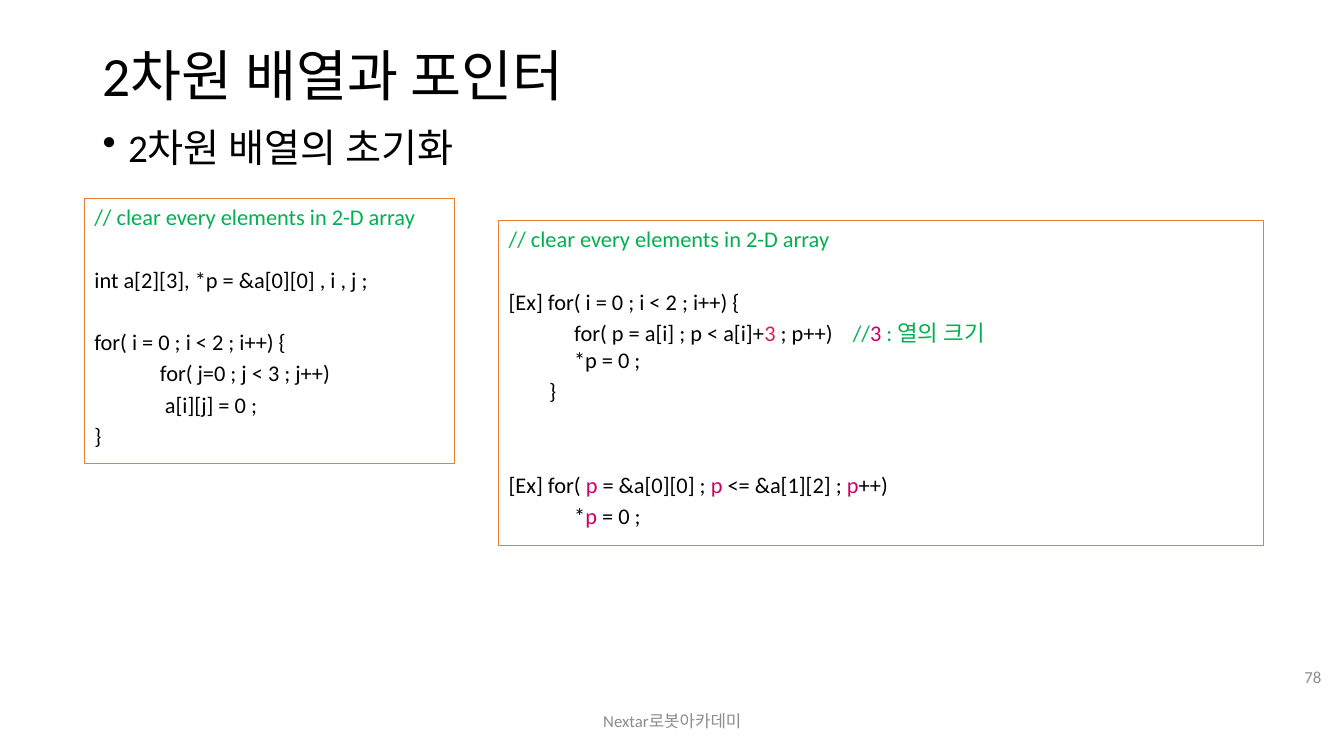
from dataclasses import dataclass

from lxml import etree
from pptx import Presentation
from pptx.dml.color import RGBColor
from pptx.enum.shapes import MSO_SHAPE
from pptx.enum.text import MSO_ANCHOR, PP_ALIGN
from pptx.oxml.ns import qn
from pptx.util import Cm, Pt

RECTANGLE = MSO_SHAPE.RECTANGLE
TOP, MIDDLE = MSO_ANCHOR.TOP, MSO_ANCHOR.MIDDLE
LEFT, CENTER, RIGHT = PP_ALIGN.LEFT, PP_ALIGN.CENTER, PP_ALIGN.RIGHT


@dataclass(frozen=True)
class Theme:
    font: str = "Calibri"
    ink: RGBColor = RGBColor(0x00, 0x00, 0x00)
    muted: RGBColor = RGBColor(0x8C, 0x8C, 0x8C)
    comment: RGBColor = RGBColor(0x00, 0xB0, 0x50)
    pointer: RGBColor = RGBColor(0xCC, 0x00, 0x66)
    size: RGBColor = RGBColor(0xDA, 0x1C, 0x5C)
    frame: RGBColor = RGBColor(0xED, 0x7D, 0x31)
    title_size: float = 39.6
    body_size: float = 28
    code_size: float = 16
    footer_size: float = 12
    code_gap: float = 3
    code_pitch: float = 22.5


class SlideBuilder:
    def __init__(self, page, theme):
        self.page = page
        self.theme = theme

    def style(self, para, size, color):
        para.font.name = self.theme.font
        para.font.size = Pt(size)
        para.font.color.rgb = color

    def text(self, wording, area, size, color, align=LEFT, anchor=TOP):
        box = self.page.shapes.add_textbox(*map(Cm, area))
        frame = box.text_frame
        frame.word_wrap = True
        frame.vertical_anchor = anchor
        para = frame.paragraphs[0]
        para.text = wording
        para.alignment = align
        self.style(para, size, color)
        return para

    def heading(self, wording, area):
        para = self.text(wording, area, self.theme.title_size, self.theme.ink, anchor=MIDDLE)
        para.line_spacing = 0.9

    def bullet(self, wording, area):
        para = self.text(wording, area, self.theme.body_size, self.theme.ink)
        para.line_spacing = 0.9
        properties = para._p.get_or_add_pPr()
        properties.set("marL", str(Cm(0.64)))
        properties.set("indent", str(-Cm(0.64)))
        mark = etree.Element(qn("a:buChar"), char="•")
        properties.find(qn("a:lnSpc")).addnext(mark)

    def code(self, lines, area):
        """Each line is (empty lines above, spans); a span of None breaks the line."""
        theme = self.theme
        box = self.page.shapes.add_shape(RECTANGLE, *map(Cm, area))
        box.shadow.inherit = False
        box.fill.background()
        box.line.color.rgb = theme.frame
        box.line.width = Pt(0.5)
        frame = box.text_frame
        frame.word_wrap = True
        frame.vertical_anchor = TOP
        for index, (empty_lines, spans) in enumerate(lines):
            para = frame.add_paragraph() if index else frame.paragraphs[0]
            para.alignment = LEFT
            if index:
                para.space_before = Pt(theme.code_gap + empty_lines * theme.code_pitch)
            self.style(para, theme.code_size, spans[0][1])
            for item in spans:
                if item is None:
                    para.add_line_break()
                    continue
                span = para.add_run()
                span.text, color = item
                if color != spans[0][1] or len(spans) > 1:
                    span.font.color.rgb = color


def main():
    theme = Theme()
    ink, comment, pointer = theme.ink, theme.comment, theme.pointer
    deck = Presentation()
    deck.slide_width, deck.slide_height = Cm(33.87), Cm(19.05)
    builder = SlideBuilder(deck.slides.add_slide(deck.slide_layouts[6]), theme)

    # Title and topic
    builder.heading("2차원 배열과 포인터", (2.34, 1.02, 29.21, 1.9))
    builder.bullet("2차원 배열의 초기화", (2.34, 3.12, 29.21, 14.05))

    # Footer and page number
    builder.text("Nextar로봇아카데미", (11.23, 17.65, 11.43, 1.02),
                 theme.footer_size, theme.muted, CENTER, MIDDLE)
    builder.text("78", (31.98, 16.54, 1.57, 1.02),
                 theme.footer_size, theme.muted, RIGHT, MIDDLE)

    # Clearing by index
    clear_note = (0, [("// clear every elements in 2-D array", comment)])
    builder.code([
        clear_note,
        (1, [("int a[2][3], *p = &a[0][0] , i , j ;", ink)]),
        (1, [("for( i = 0 ; i < 2 ; i++) {", ink)]),
        (0, [("             for( j=0 ; j < 3 ; j++)", ink)]),
        (0, [("\t    a[i][j] = 0 ;", ink)]),
        (0, [("}", ink)]),
    ], (2.13, 5, 9.32, 6.68))

    # Clearing by pointer
    builder.code([
        clear_note,
        (1, [("[Ex] for( i = 0 ; i < 2 ; i++) {", ink)]),
        (0, [("             for( p = a[i] ; p < a[i]+", ink), ("3", theme.size),
             (" ; p++)    ", ink), ("//", comment), ("3", pointer),
             (" : 열의 크기", comment), None, ("\t   *p = 0 ;", ink)]),
        (0, [("        }", ink)]),
        (2, [("[Ex] for( ", ink), ("p", pointer), (" = &a[0][0] ; ", ink),
             ("p ", pointer), ("<= &a[1][2] ; ", ink), ("p", pointer), ("++)", ink)]),
        (0, [("             *", ink), ("p", pointer), (" = 0 ;", ink)]),
    ], (12.57, 5.56, 19.28, 8.18))

    deck.save("out.pptx")


if __name__ == "__main__":
    main()
